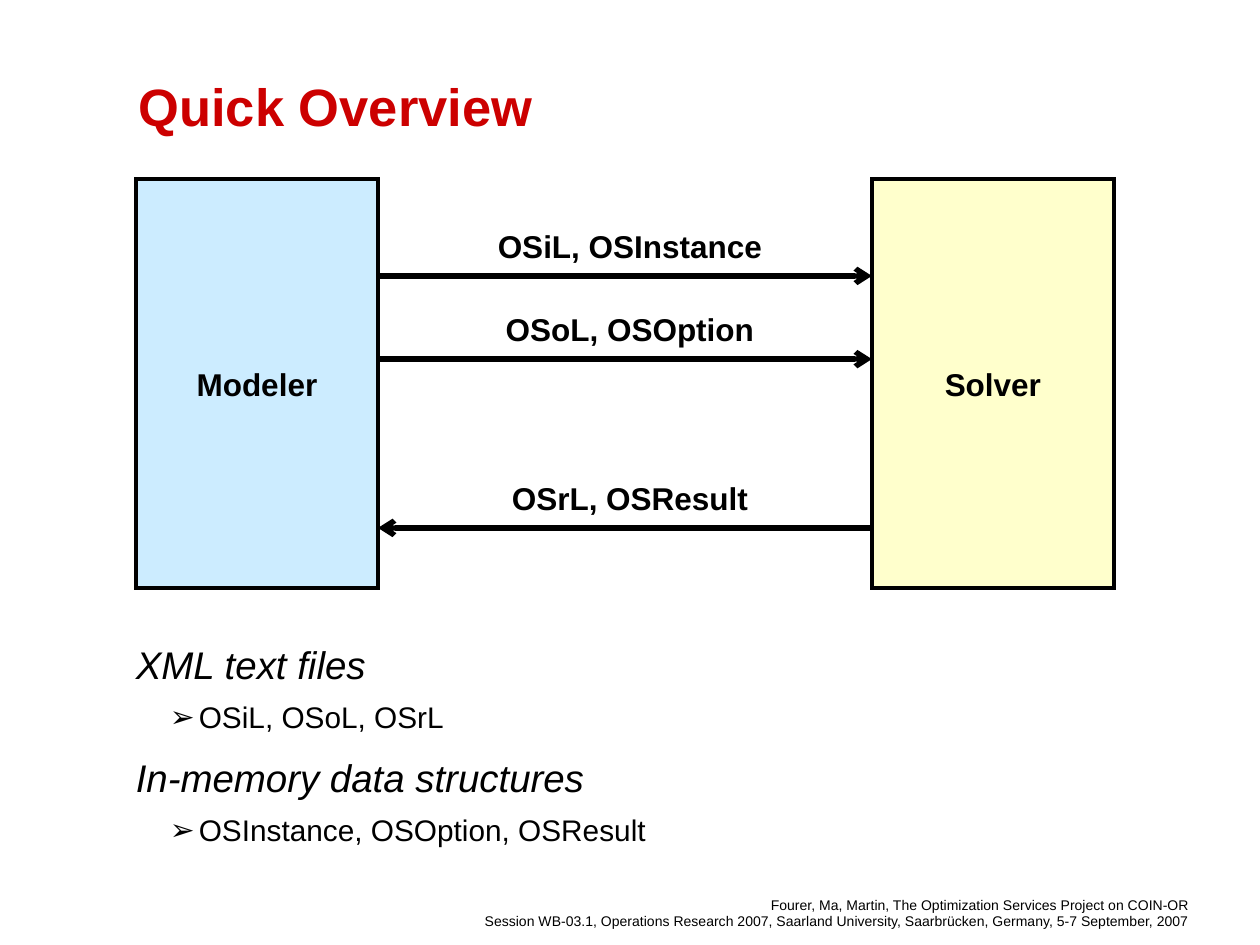
from lxml.etree import SubElement
from pptx import Presentation
from pptx.dml.color import RGBColor
from pptx.enum.shapes import MSO_CONNECTOR, MSO_SHAPE
from pptx.enum.text import MSO_ANCHOR, PP_ALIGN
from pptx.oxml.ns import qn
from pptx.util import Inches, Pt


def color(hex_value):
    return RGBColor.from_string(hex_value)


def add_run(paragraph, text, size, hex_value="000000", bold=False, italic=False):
    run = paragraph.add_run()
    run.text = text
    run.font.name = "Arial"
    run.font.size = Pt(size)
    run.font.bold = bold
    run.font.italic = italic
    run.font.color.rgb = color(hex_value)


presentation = Presentation()
presentation.slide_width = Inches(10)
presentation.slide_height = Inches(7.5)
slide = presentation.slides.add_slide(presentation.slide_layouts[5])

# Title
title = slide.shapes.title
title.left, title.top = Inches(1), Inches(0.29)
title.width, title.height = Inches(3.45), Inches(1.1)
title.text_frame.word_wrap = False
title.text_frame.vertical_anchor = MSO_ANCHOR.MIDDLE
paragraph = title.text_frame.paragraphs[0]
paragraph.alignment = PP_ALIGN.LEFT
add_run(paragraph, "Quick Overview", 30, "CC0000", bold=True)

# Modeler and solver boxes
box_width = 1.92
modeler_left, solver_left = 1.08, 6.92
for name, left, fill in [("Modeler", modeler_left, "CCECFF"),
                         ("Solver", solver_left, "FFFFCC")]:
    box = slide.shapes.add_shape(MSO_SHAPE.RECTANGLE, Inches(left), Inches(1.42),
                                 Inches(box_width), Inches(3.25))
    box.shadow.inherit = False
    box.fill.solid()
    box.fill.fore_color.rgb = color(fill)
    box.line.color.rgb = color("000000")
    box.line.width = Pt(2.25)
    SubElement(box.line._get_or_add_ln(), qn("a:miter"), lim="800000")
    box.text_frame.word_wrap = False
    box.text_frame.vertical_anchor = MSO_ANCHOR.MIDDLE
    paragraph = box.text_frame.paragraphs[0]
    paragraph.alignment = PP_ALIGN.CENTER
    add_run(paragraph, name, 18, bold=True)

# Labelled arrows: requests go to the solver, the result comes back
arrow_left, arrow_right = modeler_left + box_width, solver_left
for label, y, label_width, arrow_end in [
    ("OSiL, OSInstance", 2.19, 2.3, "tailEnd"),
    ("OSoL, OSOption", 2.85, 2.17, "tailEnd"),
    ("OSrL, OSResult", 4.19, 2.07, "headEnd"),
]:
    arrow = slide.shapes.add_connector(MSO_CONNECTOR.STRAIGHT, Inches(arrow_left),
                                       Inches(y), Inches(arrow_right), Inches(y))
    arrow.line.color.rgb = color("000000")
    arrow.line.width = Pt(3)
    SubElement(arrow.line._get_or_add_ln(), qn("a:" + arrow_end), type="arrow")
    SubElement(arrow._element.spPr, qn("a:effectLst"))

    label_left = (presentation.slide_width - Inches(label_width)) // 2
    label_box = slide.shapes.add_textbox(label_left, Inches(y - 0.44),
                                         Inches(label_width), Inches(0.4))
    frame = label_box.text_frame
    frame.word_wrap = False
    frame.margin_left = frame.margin_right = Inches(0.02)
    paragraph = frame.paragraphs[0]
    paragraph.alignment = PP_ALIGN.CENTER
    add_run(paragraph, label, 18, bold=True)

# Headings, each with a bulleted line
body = slide.shapes.add_textbox(Inches(0.98), Inches(5.08), Inches(5), Inches(1.7))
frame = body.text_frame
frame.word_wrap = True
for index, (heading, detail) in enumerate([
    ("XML text files", "OSiL, OSoL, OSrL"),
    ("In-memory data structures", "OSInstance, OSOption, OSResult"),
]):
    paragraph = frame.add_paragraph() if index else frame.paragraphs[0]
    paragraph.line_spacing = 0.9
    paragraph.space_before = Pt(13.8 if index else 0)
    add_run(paragraph, heading, 22, italic=True)

    paragraph = frame.add_paragraph()
    paragraph.level = 1
    paragraph.line_spacing = 0.9
    paragraph.space_before = Pt(8.5)
    properties = paragraph._p.get_or_add_pPr()
    properties.set("marL", str(Inches(0.5)))
    properties.set("indent", str(-Inches(0.23)))
    bullet_color = SubElement(properties, qn("a:buClr"))
    SubElement(bullet_color, qn("a:srgbClr"), val="000000")
    SubElement(properties, qn("a:buFont"), typeface="Arial")
    SubElement(properties, qn("a:buChar"), char="➢")
    add_run(paragraph, detail, 17)

# Footer, with room on the left for its longer line
footer = slide.shapes.add_textbox(Inches(3.74), Inches(7.1), Inches(5.8), Inches(0.29))
footer.text_frame.word_wrap = False
footer.text_frame.margin_left = 0
footer.text_frame.vertical_anchor = MSO_ANCHOR.MIDDLE
paragraph = footer.text_frame.paragraphs[0]
paragraph.alignment = PP_ALIGN.RIGHT
add_run(paragraph, "Fourer, Ma, Martin, The Optimization Services Project on COIN-OR", 8)
paragraph.add_line_break()
add_run(paragraph, "Session WB-03.1, Operations Research 2007, Saarland University, "
                   "Saarbrücken, Germany, 5-7 September, 2007", 8)

presentation.save("out.pptx")
